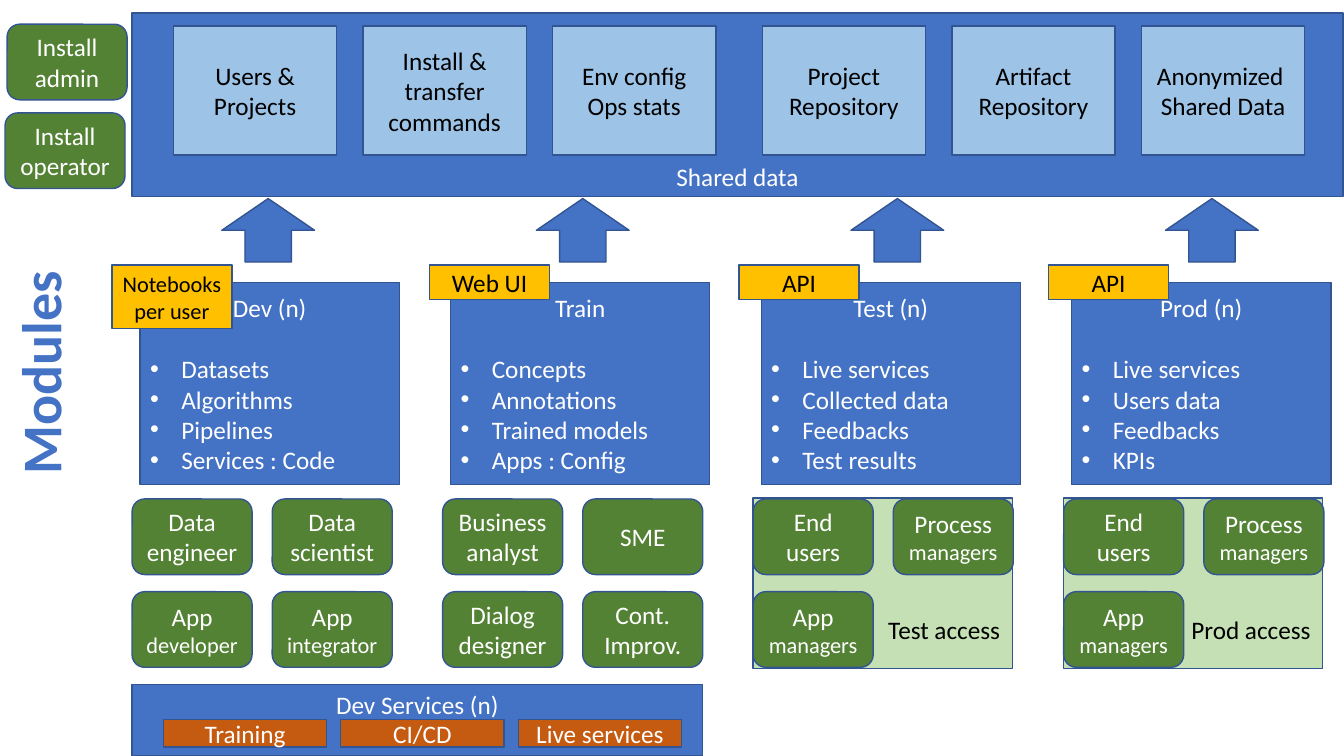
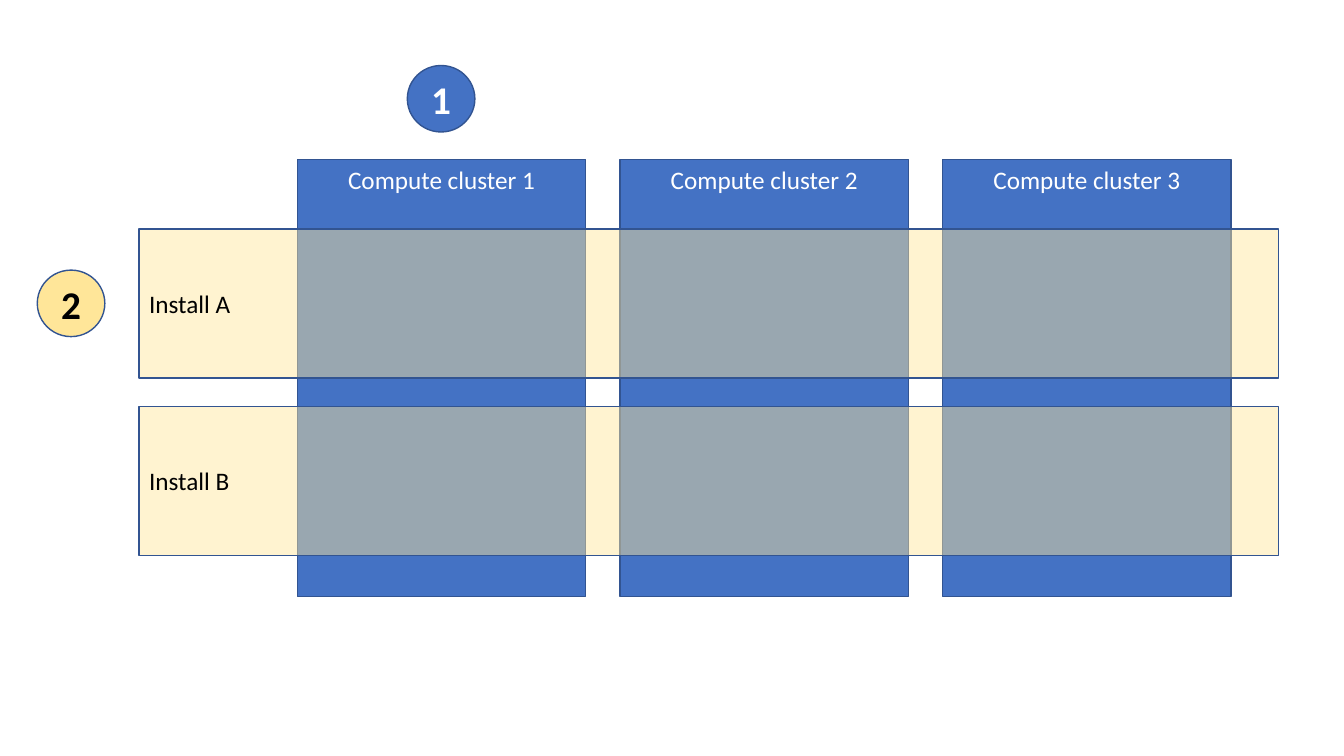
"""Build a platform architecture slide and a cluster-by-install slide."""
import pptx
import pptx.dml.color
import pptx.enum.shapes
import pptx.enum.text
import pptx.oxml
import pptx.oxml.ns
import pptx.util

FONT = "Calibri"
BLUE, SKY, GREEN, MINT = "4472C4", "9DC3E6", "548235", "C5E0B4"
GOLD, SAND, RUST, EDGE = "FFC000", "FFE699", "C55A11", "325491"
WHITE, BLACK = "FFFFFF", "000000"

SHAPE = pptx.enum.shapes.MSO_SHAPE
ALIGN = pptx.enum.text.PP_ALIGN
ANCHOR = pptx.enum.text.MSO_ANCHOR
inch = pptx.util.Inches

MODULE_LEFT, MODULE_PITCH, MODULE_WIDTH = 1.39, 3.08, 2.57
ROLE_LEFT, ROLE_TOP = 1.31, 4.95
ROLE_PITCH_X, ROLE_PITCH_Y = 1.39, 0.92
STORE_LEFT, STORE_PITCH, STORE_GROUP = 1.72, 1.88, 5.84

STORES = [
    "Users &\vProjects", "Install & transfer commands", "Env config\vOps stats",
    "Project Repository", "Artifact Repository", "Anonymized \vShared Data",
]
MODULES = [
    ("Dev (n)", ["Datasets", "Algorithms", "Pipelines", "Services : Code"]),
    ("Train", ["Concepts", "Annotations", "Trained models", "Apps : Config"]),
    ("Test (n)", ["Live services", "Collected data", "Feedbacks", "Test results"]),
    ("Prod (n)", ["Live services", "Users data", "Feedbacks", "KPIs"]),
]
TAGS = [
    (1.11, 0.63, "Notebooks\nper user", 16),
    (4.26, 0.34, "Web UI", 18),
    (7.33, 0.34, "API", 18),
    (10.4, 0.34, "API", 18),
]
ACCESS_ROLES = [("End users", ""), ("Process ", "managers"), ("App ", "managers")]
ROLES = [
    [("Data engineer", ""), ("Data scientist", ""),
     ("App ", "developer"), ("App ", "integrator")],
    [("Business analyst", ""), ("SME", ""),
     ("Dialog\vdesigner", ""), ("Cont. Improv.", "")],
    ACCESS_ROLES,
    ACCESS_ROLES,
]
ACCESS = {2: "Test access", 3: "Prod access"}


def rgb(value):
    """Turn a hex string into a colour."""
    return pptx.dml.color.RGBColor.from_string(value)


def style(p, color, size, bold=False, align=ALIGN.CENTER):
    """Format a paragraph and all its runs."""
    p.alignment = align
    for r in p.runs:
        r.font.name, r.font.size, r.font.bold = FONT, pptx.util.Pt(size), bold
        r.font.color.rgb = rgb(color)


def box(s, at, fill, text="", color=WHITE, size=18, kind=SHAPE.RECTANGLE,
        anchor=ANCHOR.MIDDLE, align=ALIGN.CENTER, bold=False):
    """Add an outlined shape with uniformly styled text."""
    sp = s.shapes.add_shape(kind, *map(inch, at))
    sp.shadow.inherit = False
    sp.fill.solid()
    sp.fill.fore_color.rgb = rgb(fill)
    sp.line.color.rgb = rgb(EDGE)
    sp.line.width = pptx.util.Pt(1)
    tf = sp.text_frame
    tf.word_wrap = True
    tf.vertical_anchor = anchor
    if text:
        tf.text = text
        for p in tf.paragraphs:
            style(p, color, size, bold, align)
    return sp


def fade(sp, percent):
    """Set the opacity of a solid fill."""
    solid = sp.element.spPr.find(pptx.oxml.ns.qn("a:solidFill"))
    alpha = pptx.oxml.parse_xml(
        f'<a:alpha {pptx.oxml.ns.nsdecls("a")} val="{percent * 1000}"/>')
    solid[0].append(alpha)


def bullet(p):
    """Give a paragraph a hanging round bullet."""
    pr = p._p.get_or_add_pPr()
    pr.set("marL", str(inch(0.31)))
    pr.set("indent", str(-inch(0.31)))
    for mark in ('buFont typeface="Arial"', 'buChar char="\u2022"'):
        name, attribute = mark.split(" ", 1)
        pr.append(pptx.oxml.parse_xml(
            f'<a:{name} {pptx.oxml.ns.nsdecls("a")} {attribute}/>'))


def role(s, left, top, text, small=""):
    """Add a rounded role badge, with an optional smaller second word."""
    sp = box(s, (left, top, 1.19, 0.75), GREEN, text, kind=SHAPE.ROUNDED_RECTANGLE)
    if small:
        p = sp.text_frame.paragraphs[0]
        p.add_run().text = small
        style(p, WHITE, 18)
        p.runs[-1].font.size = pptx.util.Pt(16)


def module(s, left, title, items):
    """Add a module card with a title and a bulleted list."""
    sp = box(s, (left, 2.8, MODULE_WIDTH, 2.01), BLUE, "\n".join([title, *items]))
    head, *rest = sp.text_frame.paragraphs
    head.space_after = pptx.util.Pt(22)
    for p in rest:
        p.alignment = ALIGN.LEFT
        bullet(p)


def access_panel(s, left, label):
    """Add the panel behind a group of access roles."""
    sp = box(s, (left, 4.94, MODULE_WIDTH, 1.69), MINT, label, BLACK,
             anchor=ANCHOR.BOTTOM, align=ALIGN.RIGHT)
    sp.text_frame.margin_right = inch(0.12)
    sp.text_frame.margin_bottom = inch(0.24)


def side_title(s, text):
    """Add the title that runs up the left side."""
    sp = s.shapes.add_textbox(*map(inch, (-0.73, 3.3, 2.24, 0.77)))
    sp.rotation = 270
    tf = sp.text_frame
    tf.word_wrap = False
    tf.auto_size = pptx.enum.text.MSO_AUTO_SIZE.SHAPE_TO_FIT_TEXT
    tf.text = text
    style(tf.paragraphs[0], BLUE, 40, True, ALIGN.LEFT)


def architecture(s):
    """Draw shared data, modules, roles and development services."""
    box(s, (1.31, 0.13, 12.01, 1.82), BLUE, "Shared data", anchor=ANCHOR.BOTTOM)
    for i, text in enumerate(STORES):
        group, column = divmod(i, 3)
        left = STORE_LEFT + group * STORE_GROUP + column * STORE_PITCH
        box(s, (left, 0.26, 1.62, 1.28), SKY, text, BLACK)
    role(s, 0.07, 0.24, "Install\vadmin")
    role(s, 0.05, 1.12, "Install operator")

    for i, (title, items) in enumerate(MODULES):
        module(s, MODULE_LEFT + i * MODULE_PITCH, title, items)
        box(s, (2.2 + i * 3.12, 1.97, 0.92, 0.63), BLUE, kind=SHAPE.UP_ARROW)
        left = ROLE_LEFT + i * MODULE_PITCH
        if i in ACCESS:
            access_panel(s, left, ACCESS[i])
        for j, (text, small) in enumerate(ROLES[i]):
            row, column = divmod(j, 2)
            role(s, left + column * ROLE_PITCH_X, ROLE_TOP + row * ROLE_PITCH_Y,
                 text, small)
    for left, height, text, size in TAGS:
        box(s, (left, 2.63, 1.19, height), GOLD, text, BLACK, size)

    box(s, (1.31, 6.79, 5.66, 0.71), BLUE, "Dev Services (n)", anchor=ANCHOR.TOP)
    for i, text in enumerate(["Training", "CI/CD", "Live services"]):
        box(s, (1.62 + i * 1.76, 7.14, 1.62, 0.27), RUST, text)
    side_title(s, "Modules")


def badge(s, left, top, number, fill, color):
    """Add a numbered circle."""
    box(s, (left, top, 0.67, 0.66), fill, number, color, 28,
        kind=SHAPE.OVAL, bold=True)


def clusters(s):
    """Draw installs laid across compute clusters."""
    for i in range(3):
        box(s, (2.95 + i * 3.2, 1.58, 2.86, 4.34), BLUE,
            f"Compute cluster {i + 1}", anchor=ANCHOR.TOP)
    for i, name in enumerate("AB"):
        band = box(s, (1.38, 2.27 + i * 1.76, 11.3, 1.48), SAND,
                   f"Install {name}", BLACK, align=ALIGN.LEFT)
        fade(band, 46)
    badge(s, 4.04, 0.65, "1", BLUE, WHITE)
    badge(s, 0.37, 2.68, "2", SAND, BLACK)


def main():
    """Build and save the presentation."""
    prs = pptx.Presentation()
    prs.slide_width, prs.slide_height = inch(13.33), inch(7.5)
    for draw in (architecture, clusters):
        draw(prs.slides.add_slide(prs.slide_layouts[6]))
    prs.save("out.pptx")


main()
